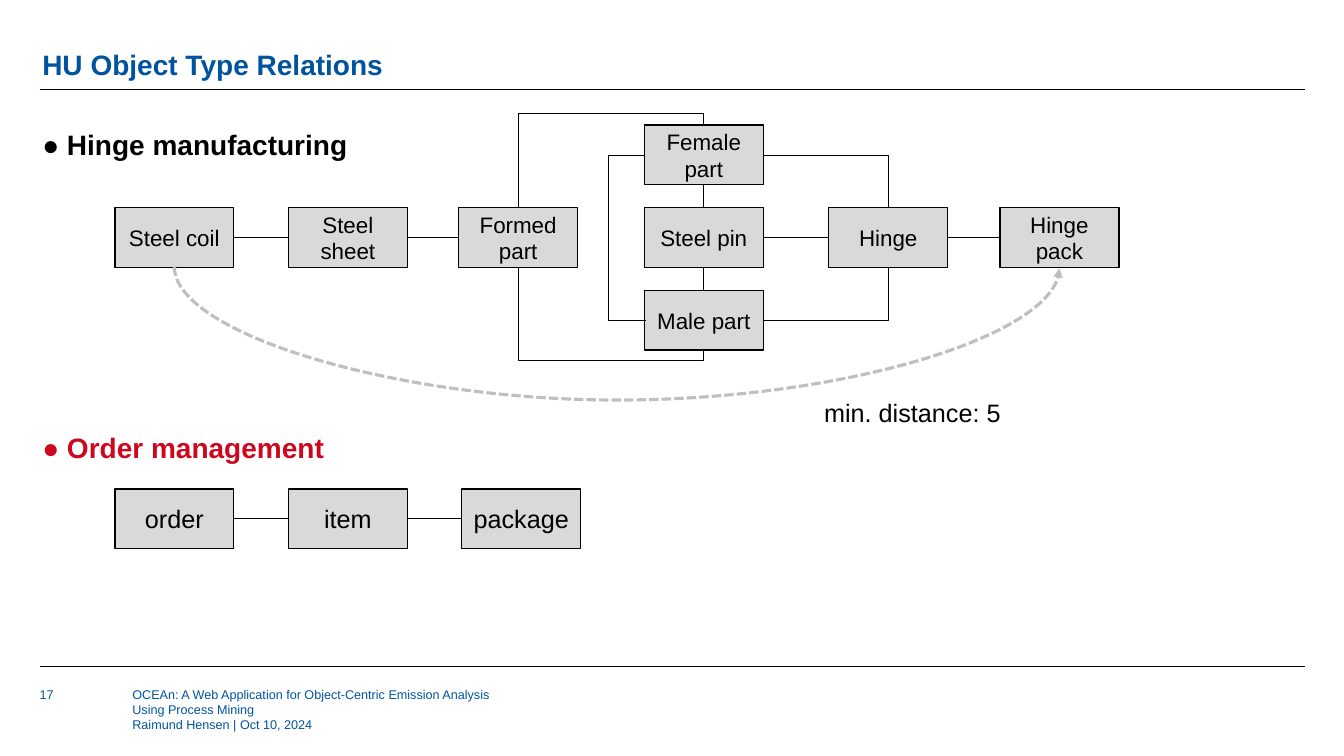
from dataclasses import dataclass

import lxml.etree
import pptx
import pptx.dml.color
import pptx.enum.dml
import pptx.enum.shapes
import pptx.enum.text
import pptx.oxml.ns
import pptx.util

Pt = pptx.util.Pt
qn = pptx.oxml.ns.qn
RGB = pptx.dml.color.RGBColor.from_string
PP_ALIGN = pptx.enum.text.PP_ALIGN
ANCHOR = pptx.enum.text.MSO_ANCHOR
CONNECTOR = pptx.enum.shapes.MSO_CONNECTOR
TOP, LEFT, BOTTOM, RIGHT = range(4)


@dataclass(frozen=True)
class Theme:
    font: str = "Arial"
    blue: str = "00549F"
    red: str = "CC071E"
    black: str = "000000"
    box: str = "D9D9D9"
    arc: str = "BFBFBF"
    heading: float = 20
    text: float = 18
    label: float = 16
    footer: float = 9
    thin: float = 0.5
    outline: float = 1
    thick: float = 2.25


@dataclass(frozen=True)
class Box:
    text: str
    x: float
    y: float
    size: float


@dataclass(frozen=True)
class Route:
    preset: str
    start: tuple[float, float]
    end: tuple[float, float]
    rot: int = 0
    flips: str = ""
    adj: float | None = None


T = Theme()
BOX_W, BOX_H = 85, 42.6
NO_INSETS = dict.fromkeys(("margin_left", "margin_top", "margin_right", "margin_bottom"), 0)

# Object types
ROW, STEP, ORDER_ROW = 148.4, 59, 349.2
BOXES = [
    Box("Steel coil", 82, ROW, T.label),
    Box("Steel sheet", 206, ROW, T.label),
    Box("Formed part", 327.6, ROW, T.label),
    Box("Steel pin", 460.2, ROW, T.label),
    Box("Female part", 460.2, ROW - STEP, T.label),
    Box("Male part", 460.2, ROW + STEP, T.label),
    Box("Hinge", 592, ROW, T.label),
    Box("Hinge pack", 714.2, ROW, T.label),
    Box("order", 82, ORDER_ROW, T.text),
    Box("item", 206, ORDER_ROW, T.text),
    Box("package", 329.8, ORDER_ROW, T.text),
]
LINKS = [
    ("Steel coil", RIGHT, "Steel sheet", LEFT),
    ("Steel sheet", RIGHT, "Formed part", LEFT),
    ("Steel pin", RIGHT, "Hinge", LEFT),
    ("Hinge", RIGHT, "Hinge pack", LEFT),
    ("Female part", BOTTOM, "Steel pin", TOP),
    ("Steel pin", BOTTOM, "Male part", TOP),
    ("order", RIGHT, "item", LEFT),
    ("item", RIGHT, "package", LEFT),
]


def side(name: str, where: int, dx: float = 0, dy: float = 0) -> tuple[float, float]:
    """Middle of one side of a named box, shifted by dx and dy."""
    b = next(b for b in BOXES if b.text == name)
    fx, fy = {TOP: (0.5, 0), LEFT: (0, 0.5), BOTTOM: (0.5, 1), RIGHT: (1, 0.5)}[where]
    return b.x + fx * BOX_W + dx, b.y + fy * BOX_H + dy


ROUTES = [
    Route("bentConnector3", side("Formed part", BOTTOM), side("Male part", BOTTOM), 270, "H", 1.127),
    Route("bentConnector3", side("Formed part", TOP), side("Female part", TOP), 90, "HV", 1.14),
    Route("bentConnector2", side("Female part", RIGHT), side("Hinge", TOP)),
    Route("bentConnector2", side("Male part", RIGHT), side("Hinge", BOTTOM), 0, "V"),
    Route("bentConnector3", side("Male part", LEFT, dx=1), side("Female part", LEFT), 180, "", 27),
]
DISTANCE = Route("curvedConnector3", side("Steel coil", BOTTOM, dy=-0.5),
                 side("Hinge pack", BOTTOM, dy=0.5), 270, "H", 96)


def apply(obj, values: dict) -> None:
    for name, value in values.items():
        setattr(obj, name, value)


def write(s, lines: list[str], size: float, color: str, bold: bool = False,
          frame: dict | None = None, para: dict | None = None) -> None:
    tf = s.text_frame
    apply(tf, {"word_wrap": True, **(frame or {})})
    for i, line in enumerate(lines):
        p = tf.paragraphs[0] if i == 0 else tf.add_paragraph()
        apply(p, {"alignment": PP_ALIGN.LEFT, "space_before": Pt(0), **(para or {})})
        r = p.add_run()
        r.text = line
        apply(r.font, {"name": T.font, "size": Pt(size), "bold": bold})
        r.font.color.rgb = RGB(color)


def place(s, x: float, y: float, w: float, h: float) -> None:
    apply(s, {"left": Pt(x), "top": Pt(y), "width": Pt(w), "height": Pt(h)})


def add_text(shapes, x: float, y: float, w: float, h: float, *args, **formats) -> None:
    write(shapes.add_textbox(Pt(x), Pt(y), Pt(w), Pt(h)), *args, **formats)


def add_box(shapes, b: Box):
    s = shapes.add_shape(pptx.enum.shapes.MSO_SHAPE.RECTANGLE,
                         Pt(b.x), Pt(b.y), Pt(BOX_W), Pt(BOX_H))
    s.shadow.inherit = False
    s.fill.solid()
    s.fill.fore_color.rgb = RGB(T.box)
    s.line.color.rgb = RGB(T.black)
    s.line.width = Pt(T.outline)
    write(s, [b.text], b.size, T.black, frame={"vertical_anchor": ANCHOR.MIDDLE},
          para={"alignment": PP_ALIGN.CENTER})
    return s


def add_line(shapes, kind, start: tuple, end: tuple, color: str = T.black, width: float = T.thin):
    s = shapes.add_connector(kind, *(Pt(v) for v in (*start, *end)))
    s.line.color.rgb = RGB(color)
    s.line.width = Pt(width)
    lxml.etree.SubElement(s._element.spPr, qn("a:effectLst"))
    return s


def add_route(shapes, route: Route, color: str = T.black, width: float = T.thin):
    (x1, y1), (x2, y2) = route.start, route.end
    w, h = abs(x2 - x1), abs(y2 - y1)
    if route.rot in (90, 270):
        w, h = h, w
    x, y = (x1 + x2 - w) / 2, (y1 + y2 - h) / 2
    s = add_line(shapes, CONNECTOR.ELBOW, (x, y), (x + w, y + h), color, width)
    xfrm = s._element.spPr.find(qn("a:xfrm"))
    xfrm.set("rot", str(route.rot * 60000))
    for axis in route.flips:
        xfrm.set("flip" + axis, "1")
    geom = s._element.spPr.find(qn("a:prstGeom"))
    geom.set("prst", route.preset)
    if route.adj is not None:
        lxml.etree.SubElement(geom.find(qn("a:avLst")), qn("a:gd"), name="adj1",
                              fmla=f"val {round(route.adj * 100000)}")
    return s


def main() -> None:
    prs = pptx.Presentation()
    prs.slide_width, prs.slide_height = Pt(960), Pt(540)
    slide = prs.slides.add_slide(prs.slide_layouts[1])
    shapes = slide.shapes

    # Rules and footer
    for y in (64.2, 476):
        add_line(shapes, CONNECTOR.STRAIGHT, (28.4, y), (932.4, y))
    add_text(shapes, 94.6, 490.4, 263, 31,
             ["OCEAn: A Web Application for Object-Centric Emission Analysis Using Process Mining",
              "Raimund Hensen | Oct 10, 2024"], T.footer, T.blue, frame=NO_INSETS)
    add_text(shapes, 28.4, 490.4, 57.6, 31, ["17"], T.footer, T.blue, frame=NO_INSETS)

    # Title and section headings
    title, body = shapes.title, slide.placeholders[1]
    place(title, 30.2, 16, 904.4, 42.4)
    write(title, ["HU Object Type Relations"], T.heading, T.blue, True,
          {**NO_INSETS, "vertical_anchor": ANCHOR.BOTTOM}, {"line_spacing": 0.9})
    place(body, 30.2, 90.8, 904.4, 20.2)
    pPr = body.text_frame.paragraphs[0]._p.get_or_add_pPr()
    apply_indent = {"marL": "0", "indent": "0"}
    for name, value in apply_indent.items():
        pPr.set(name, value)
    lxml.etree.SubElement(pPr, qn("a:buNone"))
    write(body, ["● Hinge manufacturing"], T.heading, T.black, True, NO_INSETS)
    add_text(shapes, 30.2, 307.6, 904.4, 20.2, ["● Order management"],
             T.heading, T.red, True, frame=NO_INSETS)

    # Boxes and their relations
    boxes = {b.text: add_box(shapes, b) for b in BOXES}
    for a, a_side, b, b_side in LINKS:
        s = add_line(shapes, CONNECTOR.STRAIGHT, side(a, a_side), side(b, b_side))
        s.begin_connect(boxes[a], a_side)
        s.end_connect(boxes[b], b_side)
    for route in ROUTES:
        add_route(shapes, route)

    # Distance arc
    arc = add_route(shapes, DISTANCE, T.arc, T.thick)
    arc.line.dash_style = pptx.enum.dml.MSO_LINE.SQUARE_DOT
    lxml.etree.SubElement(arc.line._get_or_add_ln(), qn("a:tailEnd"), type="triangle")
    add_text(shapes, 581.6, 280.2, 155.6, 29, ["min. distance: 5"], T.text, T.black)

    prs.save("out.pptx")


if __name__ == "__main__":
    main()
